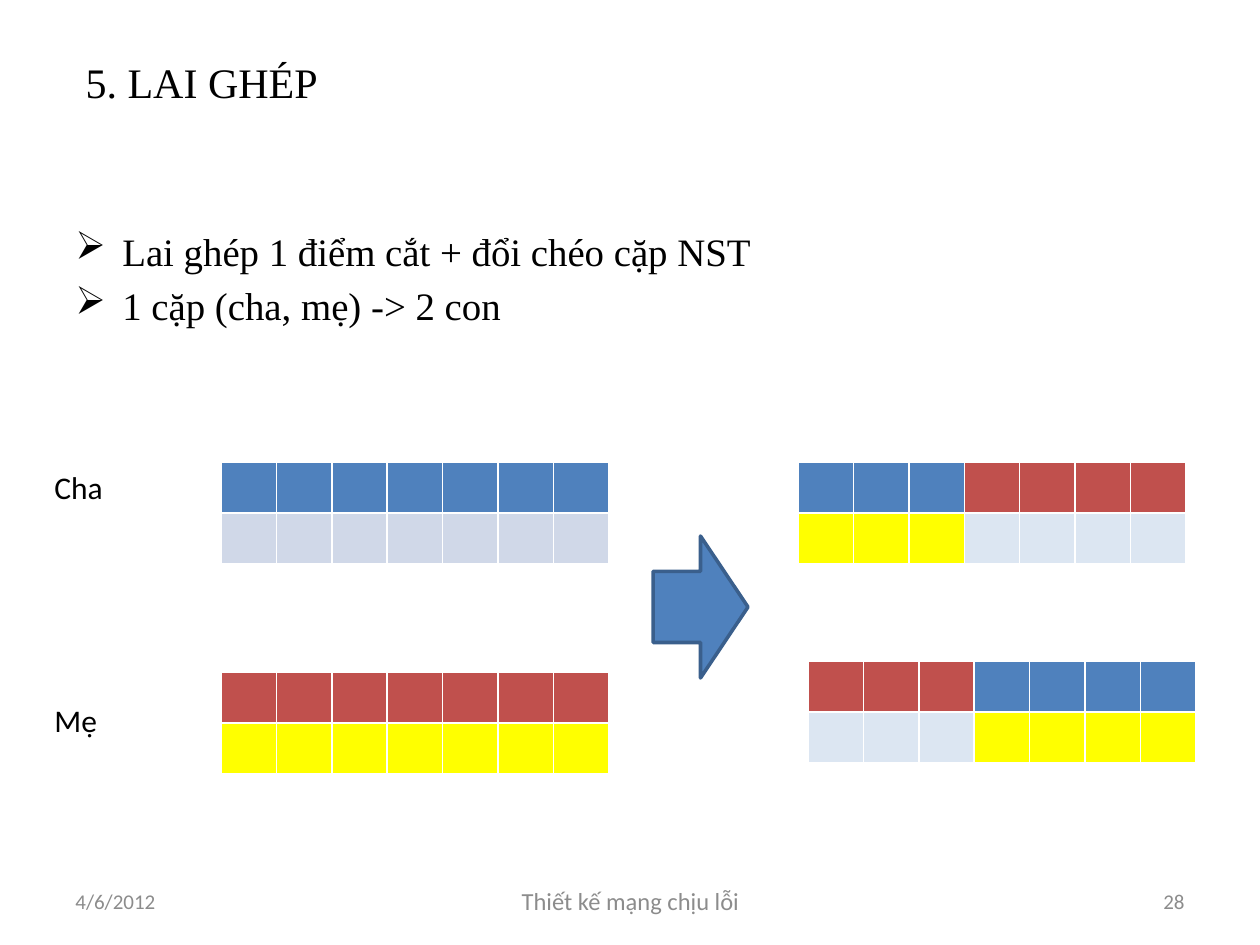
"""Build the one-point crossover slide with parent and child chromosome tables."""
from lxml.etree import SubElement
from pptx import Presentation
from pptx.dml.color import RGBColor
from pptx.enum.shapes import MSO_SHAPE
from pptx.enum.text import MSO_ANCHOR as Anchor, PP_ALIGN as Align
from pptx.oxml.ns import qn
from pptx.util import Pt

PX = 914400 / 126
BLACK = RGBColor(0x00, 0x00, 0x00)
GREY = RGBColor(0x8C, 0x8C, 0x8C)
BLUE = RGBColor(0x4F, 0x81, 0xBD)
DARK_BLUE = RGBColor(0x3A, 0x5F, 0x8C)
RED = RGBColor(0xC0, 0x50, 0x4D)
YELLOW = RGBColor(0xFF, 0xFF, 0x00)
LAVENDER = RGBColor(0xD0, 0xD8, 0xE8)
PALE_BLUE = RGBColor(0xDC, 0xE6, 0xF2)
GENES = 7
CUT = 3


def emu(*lengths):
    return [round(length * PX) for length in lengths]


def write(shape, lines, size, font, color, align=Align.LEFT, anchor=Anchor.TOP):
    frame = shape.text_frame
    frame.text = "\n".join(lines)
    frame.word_wrap = True
    frame.vertical_anchor = anchor
    for paragraph in frame.paragraphs:
        paragraph.alignment = align
        for run in paragraph.runs:
            run.font.size = Pt(size)
            run.font.name = font
            run.font.color.rgb = color


presentation = Presentation()
presentation.slide_width, presentation.slide_height = emu(1260, 945)
slide = presentation.slides.add_slide(presentation.slide_layouts[5])

title = slide.shapes.title
title.left, title.top, title.width, title.height = emu(73, 38, 1124, 88)
write(title, ["5. LAI GHÉP"], 24, "Times New Roman", BLACK, anchor=Anchor.MIDDLE)

body = slide.shapes.add_textbox(*emu(63, 221, 1134, 105))
points = ["Lai ghép 1 điểm cắt + đổi chéo cặp NST", "1 cặp (cha, mẹ) -> 2 con"]
write(body, points, 22.2, "Times New Roman", BLACK)
indent = emu(47)[0]
for paragraph in body.text_frame.paragraphs:
    paragraph.space_before = Pt(4.4)
    properties = paragraph._p.get_or_add_pPr()
    properties.set("marL", str(indent))
    properties.set("indent", str(-indent))
    SubElement(properties, qn("a:buChar")).set("char", "➢")

footers = [
    (63, 294, "4/6/2012", 12, Align.LEFT),
    (431, 399, "Thiết kế mạng chịu lỗi", 14, Align.CENTER),
    (903, 294, "28", 12, Align.RIGHT),
]
for left, width, text, size, align in footers:
    footer = slide.shapes.add_textbox(*emu(left, 876, width, 50))
    write(footer, [text], size, "Calibri", GREY, align, Anchor.MIDDLE)

chromosome_pairs = [
    (221, 462, (BLUE, BLUE), (LAVENDER, LAVENDER)),
    (221, 672, (RED, RED), (YELLOW, YELLOW)),
    (798, 462, (BLUE, RED), (YELLOW, PALE_BLUE)),
    (808, 661, (RED, BLUE), (PALE_BLUE, YELLOW)),
]
for left, top, *rows in chromosome_pairs:
    table = slide.shapes.add_table(2, GENES, *emu(left, top, 388, 102)).table
    for row, (head, tail) in enumerate(rows):
        for column in range(GENES):
            fill = table.cell(row, column).fill
            fill.solid()
            fill.fore_color.rgb = head if column < CUT else tail

for top, text in [(462, "Cha"), (695, "Mẹ")]:
    label = slide.shapes.add_textbox(*emu(42, top, 126, 51))
    write(label, [text], 18, "Calibri", BLACK)

arrow = slide.shapes.add_shape(MSO_SHAPE.RIGHT_ARROW, *emu(653, 536, 95, 142))
arrow.shadow.inherit = False
arrow.fill.solid()
arrow.fill.fore_color.rgb = BLUE
arrow.line.color.rgb = DARK_BLUE
arrow.line.width = Pt(2)

presentation.save("out.pptx")
